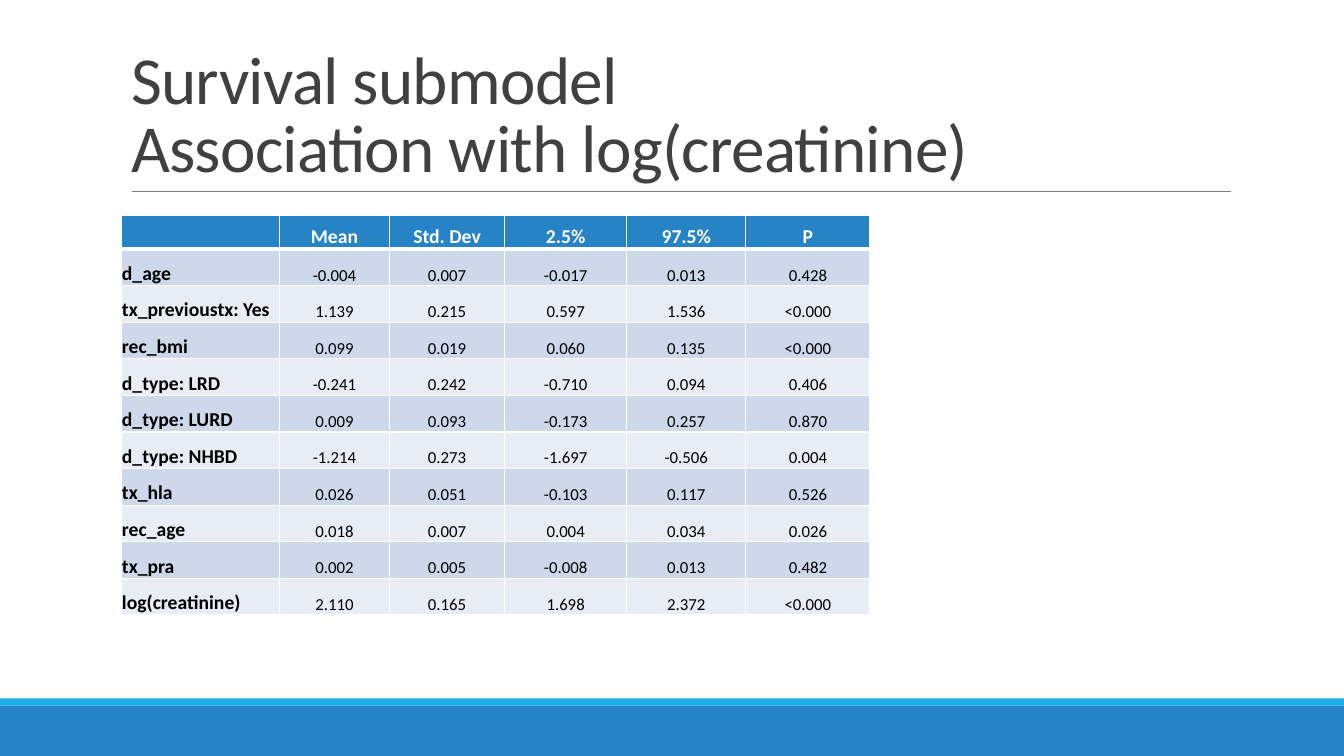
from lxml import etree
from pptx import Presentation
from pptx.dml.color import RGBColor
from pptx.enum.shapes import MSO_CONNECTOR, MSO_SHAPE
from pptx.enum.text import MSO_ANCHOR, MSO_AUTO_SIZE, PP_ALIGN
from pptx.oxml.ns import qn
from pptx.util import Inches, Pt

BLUE = RGBColor(0x26, 0x83, 0xC6)
CYAN = RGBColor(0x1C, 0xAD, 0xE4)
GRAY = RGBColor(0x80, 0x80, 0x80)
DARK = RGBColor(0x40, 0x40, 0x40)
BLACK = RGBColor(0, 0, 0)
WHITE = RGBColor(0xFF, 0xFF, 0xFF)
BANDS = (RGBColor(0xE8, 0xED, 0xF5), RGBColor(0xCD, 0xD9, 0xEA))
FONT = "Calibri"

TITLE_LINES = ("Survival submodel", "Association with log(creatinine)")
COLUMN_WIDTHS = (1.57, 1.09, 1.14, 1.21, 1.18, 1.23)
HEADER_HEIGHT = 0.33
ESTIMATES = (
    ("", "Mean", "Std. Dev", "2.5%", "97.5%", "P"),
    ("d_age", "-0.004", "0.007", "-0.017", "0.013", "0.428"),
    ("tx_previoustx: Yes", "1.139", "0.215", "0.597", "1.536", "<0.000"),
    ("rec_bmi", "0.099", "0.019", "0.060", "0.135", "<0.000"),
    ("d_type: LRD", "-0.241", "0.242", "-0.710", "0.094", "0.406"),
    ("d_type: LURD", "0.009", "0.093", "-0.173", "0.257", "0.870"),
    ("d_type: NHBD", "-1.214", "0.273", "-1.697", "-0.506", "0.004"),
    ("tx_hla", "0.026", "0.051", "-0.103", "0.117", "0.526"),
    ("rec_age", "0.018", "0.007", "0.004", "0.034", "0.026"),
    ("tx_pra", "0.002", "0.005", "-0.008", "0.013", "0.482"),
    ("log(creatinine)", "2.110", "0.165", "1.698", "2.372", "<0.000"),
)


def add_footer(slide, left, top, width, height):
    """Thin cyan strip above a blue band."""
    strip_height = 0.07
    for y, part_height, color in (
        (top + strip_height, height - strip_height, BLUE),
        (top, strip_height, CYAN),
    ):
        band = slide.shapes.add_shape(
            MSO_SHAPE.RECTANGLE, Inches(left), Inches(y),
            Inches(width), Inches(part_height))
        band.shadow.inherit = False
        band.fill.solid()
        band.fill.fore_color.rgb = color
        band.line.fill.background()


def add_heading(slide, left, top, width, height):
    """Title with a rule along the bottom of its box."""
    bottom = Inches(top + height)
    rule = slide.shapes.add_connector(
        MSO_CONNECTOR.STRAIGHT, Inches(left + 0.11), bottom,
        Inches(left + width + 0.01), bottom)
    rule.line.color.rgb = GRAY
    rule.line.width = Pt(0.5)
    etree.SubElement(rule._element.spPr, qn("a:effectLst"))

    title = slide.shapes.title
    title.left, title.top = Inches(left), Inches(top)
    title.width, title.height = Inches(width), Inches(height)
    frame = title.text_frame
    frame.word_wrap = True
    frame.auto_size = MSO_AUTO_SIZE.NONE
    frame.vertical_anchor = MSO_ANCHOR.BOTTOM
    heading = frame.paragraphs[0]
    heading.alignment = PP_ALIGN.LEFT
    heading.line_spacing = 0.85
    for number, line in enumerate(TITLE_LINES):
        if number:
            heading.add_line_break()
        run = heading.add_run()
        run.text = line
        style_run(run, 48, DARK)
        run.font._element.set("spc", "-50")


def style_run(run, size, color, bold=False):
    run.font.name = FONT
    run.font.size = Pt(size)
    run.font.bold = bold
    run.font.color.rgb = color


def set_borders(cell, top, bottom):
    """White borders; top and bottom widths in points."""
    properties = cell._tc.get_or_add_tcPr()
    for side, width in (("L", 1), ("R", 1), ("T", top), ("B", bottom)):
        edge = etree.SubElement(properties, qn(f"a:ln{side}"), w=str(Pt(width)))
        fill = etree.SubElement(edge, qn("a:solidFill"))
        etree.SubElement(fill, qn("a:srgbClr"), val=str(WHITE))


def fill_cell(cell, text, row, column):
    is_header, is_label = row == 0, column == 0
    set_borders(cell, 3 if row == 1 else 1, 3 if is_header else 1)
    cell.fill.solid()
    cell.fill.fore_color.rgb = BLUE if is_header else BANDS[row % 2]
    cell.margin_left = cell.margin_right = cell.margin_top = Inches(0.01)
    cell.margin_bottom = 0
    cell.vertical_anchor = MSO_ANCHOR.BOTTOM
    if not text:
        return
    paragraph = cell.text_frame.paragraphs[0]
    paragraph.alignment = PP_ALIGN.LEFT if is_label else PP_ALIGN.CENTER
    run = paragraph.add_run()
    run.text = text
    bold = is_header or is_label
    style_run(run, 14 if bold else 12, WHITE if is_header else BLACK, bold)


def add_estimates(slide, left, top, width, height):
    """Table of parameter estimates."""
    table = slide.shapes.add_table(
        len(ESTIMATES), len(COLUMN_WIDTHS), Inches(left), Inches(top),
        Inches(width), Inches(height)).table
    for column, share in zip(table.columns, COLUMN_WIDTHS):
        column.width = Inches(width * share / sum(COLUMN_WIDTHS))
    body_height = (height - HEADER_HEIGHT) / (len(ESTIMATES) - 1)
    for row, values in enumerate(ESTIMATES):
        table.rows[row].height = Inches(body_height if row else HEADER_HEIGHT)
        for column, text in enumerate(values):
            fill_cell(table.cell(row, column), text, row, column)


presentation = Presentation()
presentation.slide_width = Inches(13.33)
presentation.slide_height = Inches(7.5)
slide = presentation.slides.add_slide(presentation.slide_layouts[5])
add_footer(slide, 0, 6.93, 13.33, 0.57)
add_heading(slide, 1.2, 0.31, 11, 1.59)
add_estimates(slide, 1.2, 2.14, 7.43, 3.96)
presentation.save("out.pptx")
